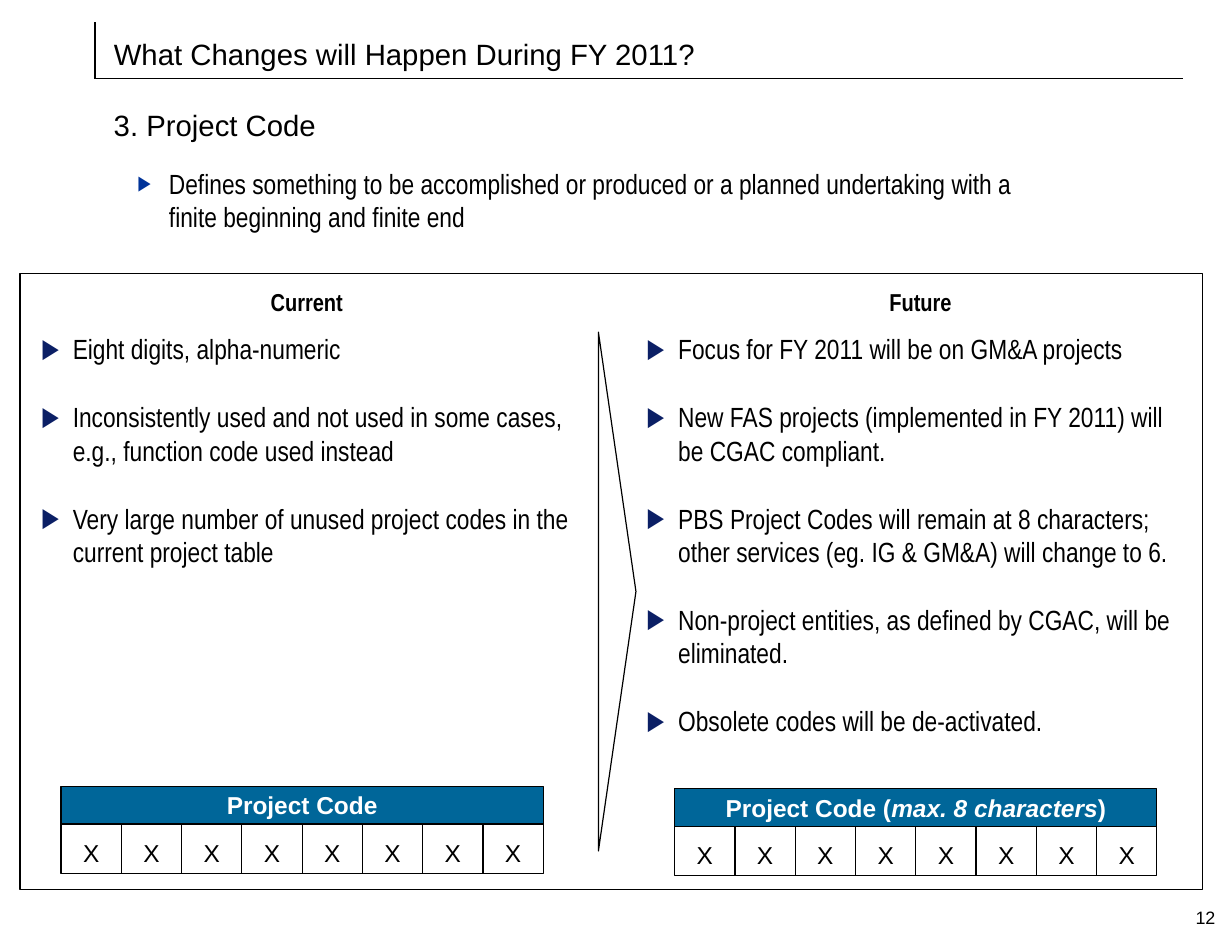
from lxml.etree import SubElement
from pptx import Presentation
from pptx.dml.color import RGBColor
from pptx.enum.shapes import MSO_CONNECTOR as CONN, MSO_SHAPE as SHAPE
from pptx.enum.text import MSO_ANCHOR as ANCHOR, MSO_AUTO_SIZE as AUTO, PP_ALIGN as ALIGN
from pptx.oxml.ns import qn
from pptx.util import Inches, Pt

COLS, ROWS = 105, 80
BLACK, WHITE, TEAL, BLUE, NAVY = "000000", "FFFFFF", "006699", "003399", "0B1F65"
SANS, NARROW = "Arial", "Arial Narrow"

CURRENT = [
    "Eight digits, alpha-numeric",
    "Inconsistently used and not used in some cases, e.g., function code used instead",
    "Very large number of unused project codes in the current project table",
]
FUTURE = [
    "Focus for FY 2011 will be on GM&A projects",
    "New FAS projects (implemented in FY 2011) will be CGAC compliant.",
    "PBS Project Codes will remain at 8 characters; other services (eg. IG & GM&A) will change to 6.",
    "Non-project entities, as defined by CGAC, will be eliminated.",
    "Obsolete codes will be de-activated.",
]


def rgb(value):
    return RGBColor.from_string(value)


class Deck:
    def __init__(self, width, height):
        self.prs = Presentation()
        self.prs.slide_width, self.prs.slide_height = Inches(width), Inches(height)
        self.s = self.prs.slides.add_slide(self.prs.slide_layouts[5])

    def x(self, col):
        return round(self.prs.slide_width * col / COLS)

    def y(self, row):
        return round(self.prs.slide_height * row / ROWS)

    def box(self, col, row, cols, rows):
        return self.x(col), self.y(row), self.x(cols), self.y(rows)

    def set_text(self, sp, paragraphs, size, font=SANS, color=BLACK, bold=False,
                 align=ALIGN.LEFT, anchor=ANCHOR.TOP, inset=(0, 0), wrap=True):
        tf = sp.text_frame
        tf.auto_size, tf.word_wrap, tf.vertical_anchor = AUTO.NONE, wrap, anchor
        tf.margin_left = tf.margin_right = Inches(inset[0])
        tf.margin_top = tf.margin_bottom = Inches(inset[1])
        for i, runs in enumerate(paragraphs):
            p = tf.add_paragraph() if i else tf.paragraphs[0]
            p.alignment = align
            for text, italic in runs:
                r = p.add_run()
                r.text = text
                f = r.font
                f.name, f.size, f.bold, f.italic = font, Pt(size), bold, italic
                f.color.rgb = rgb(color)
        return tf

    def title(self, text, *place, **style):
        sp = self.s.shapes.title
        sp.left, sp.top, sp.width, sp.height = self.box(*place)
        self.set_text(sp, [[(text, False)]], 18, **style)

    def text(self, text, *place, size, **style):
        sp = self.s.shapes.add_textbox(*self.box(*place))
        return self.set_text(sp, [[(text, False)]], size, **style)

    def bullets(self, items, *place, before, color, scale=100):
        sp = self.s.shapes.add_textbox(*self.box(*place))
        tf = self.set_text(sp, [[(item, False)] for item in items], 17, NARROW)
        for p in tf.paragraphs:
            p.space_before = Pt(before)
            pPr = p._p.get_or_add_pPr()
            pPr.set("marL", str(Inches(0.27)))
            pPr.set("indent", str(-Inches(0.27)))
            SubElement(SubElement(pPr, qn("a:buClr")), qn("a:srgbClr"), val=color)
            SubElement(pPr, qn("a:buSzPct"), val=str(scale * 1000))
            SubElement(pPr, qn("a:buFont"), typeface=SANS)
            SubElement(pPr, qn("a:buChar"), char="▶")

    def shape(self, kind, *place, fill=None, rotation=0):
        sp = self.s.shapes.add_shape(kind, *self.box(*place))
        sp.shadow.inherit = False
        sp.rotation = rotation
        if fill:
            sp.fill.solid()
            sp.fill.fore_color.rgb = rgb(fill)
        else:
            sp.fill.background()
        sp.line.color.rgb = rgb(BLACK)
        sp.line.width = Pt(0.75)
        return sp

    def line(self, col1, row1, col2, row2):
        ln = self.s.shapes.add_connector(
            CONN.STRAIGHT, self.x(col1), self.y(row1), self.x(col2), self.y(row2))
        ln.line.color.rgb = rgb(BLACK)
        ln.line.width = Pt(0.75)
        SubElement(ln._element.spPr, qn("a:effectLst"))

    def code_grid(self, heading, col, row, cols=41.1, count=8):
        head, body = 3.2, 4.2
        step, top = cols / count, row + head
        self.shape(SHAPE.RECTANGLE, col, top, cols, body, fill=WHITE)
        sp = self.shape(SHAPE.RECTANGLE, col, row, cols, head, fill=TEAL)
        self.set_text(sp, [heading], 15, color=WHITE, bold=True, align=ALIGN.CENTER,
                      anchor=ANCHOR.MIDDLE, inset=(0.11, 0.05))
        for i in range(count):
            left = col + i * step
            self.text("X", left, top + 0.7, step, 3.6, size=15,
                      align=ALIGN.CENTER, inset=(0.05, 0.05))
            if i:
                self.line(left, top, left, top + body)


def main():
    d = Deck(10.5, 8)
    d.title("What Changes will Happen During FY 2011?", 8.5, 2.5, 91.9, 4.2, inset=(0.12, 0.06))
    d.line(8.1, 6.7, 100.8, 6.7)
    d.line(8.1, 6.7, 8.1, 1.9)
    tf = d.text("3. Project Code", 8.6, 9.2, 19.4, 3.5, size=18, inset=(0.11, 0.05), wrap=False)
    tf.paragraphs[0].line_spacing = 0.8
    d.bullets(["Defines something to be accomplished or produced or a planned undertaking "
               "with a finite beginning and finite end"],
              11.7, 14.2, 75.8, 8.3, before=10.6, color=BLUE, scale=75)

    d.shape(SHAPE.RECTANGLE, 1.7, 23.3, 100.8, 52.5)
    columns = [
        ("Current", 9.2, CURRENT, 3.5, [("Project Code", False)], 5.2, 67),
        ("Future", 61.5, FUTURE, 55.1,
         [("Project Code (", False), ("max. 8 characters", True), (")", False)], 57.5, 67.2),
    ]
    for label, label_col, items, list_col, heading, grid_col, grid_row in columns:
        d.text(label, label_col, 24, 33.9, 3.6, size=15, font=NARROW, bold=True,
               align=ALIGN.CENTER, inset=(0.05, 0.05))
        d.bullets(items, list_col, 28.3, 45.9, 46.7, before=21.3, color=NAVY)
        d.code_grid(heading, grid_col, grid_row)
    d.shape(SHAPE.ISOSCELES_TRIANGLE, 30.5, 48.8, 44.2, 3.2, rotation=90)

    d.text("12", 96.6, 77.2, 7, 1.8, size=11, align=ALIGN.RIGHT)
    d.prs.save("out.pptx")


if __name__ == "__main__":
    main()
